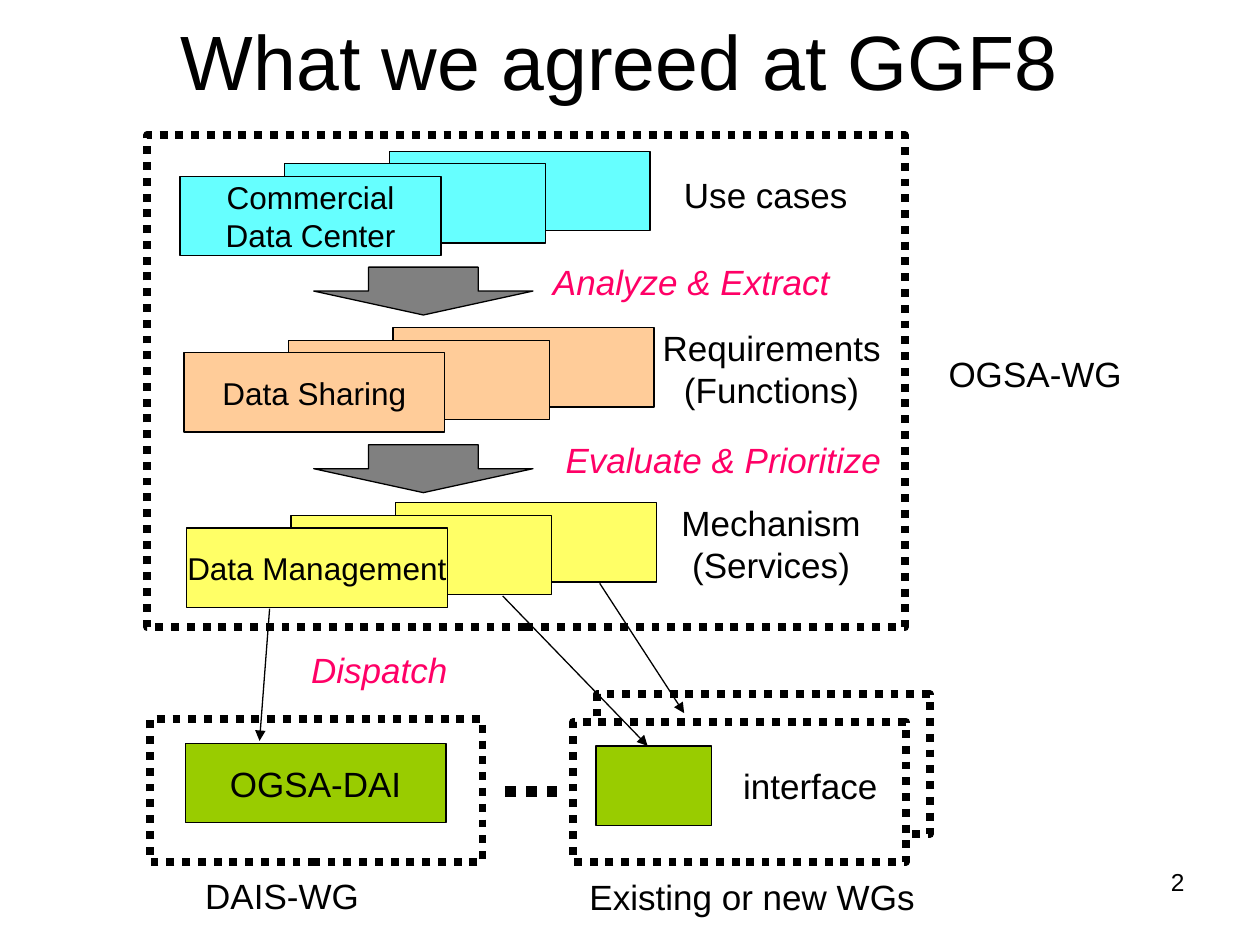
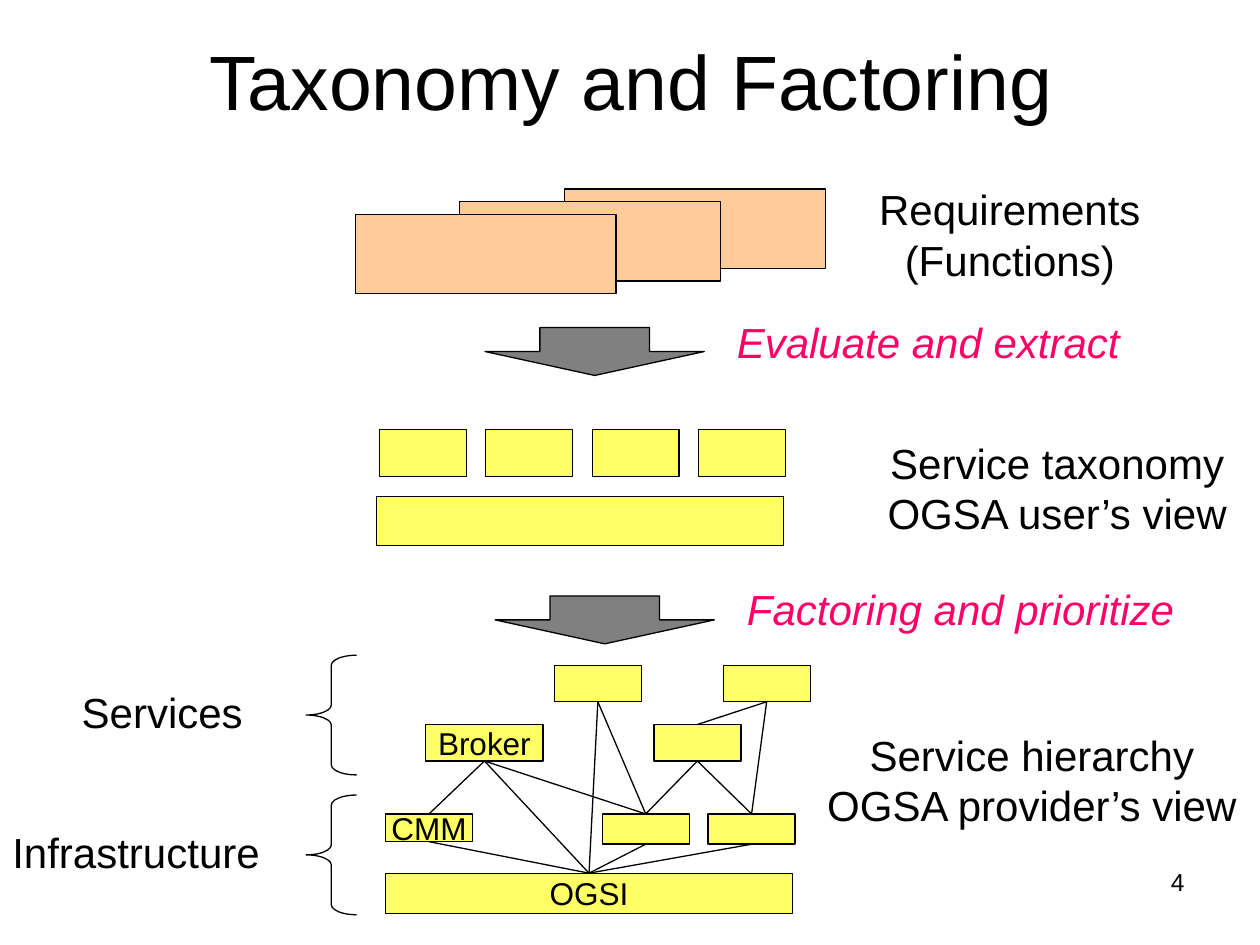
"""Build two slides on OGSA use cases, requirements and service factoring."""
import lxml.etree
import pptx
import pptx.dml.color
import pptx.enum.dml
import pptx.enum.shapes
import pptx.enum.text
import pptx.oxml.ns
import pptx.util

Inches = pptx.util.Inches
Pt = pptx.util.Pt
RGBColor = pptx.dml.color.RGBColor
qn = pptx.oxml.ns.qn
SHAPE = pptx.enum.shapes.MSO_SHAPE
ALIGN = pptx.enum.text.PP_ALIGN
ANCHOR = pptx.enum.text.MSO_ANCHOR
DOTTED = pptx.enum.dml.MSO_LINE.ROUND_DOT

COLORS = {
    "ink": "000000",
    "paper": "FFFFFF",
    "use_case": "66FFFF",
    "requirement": "FFCC99",
    "service": "FFFF66",
    "interface": "99CC00",
    "arrow": "808080",
    "step": "FF0066",
}
FONT = "Arial"
CARD = (2.07, 0.63)
ARROW = (1.74, 0.38)
SMALL = 0.69


def write(frame, text, size=20, color="ink", italic=False, align=ALIGN.LEFT,
          anchor=ANCHOR.TOP, wrap=False):
    frame.word_wrap = wrap
    frame.auto_size = pptx.enum.text.MSO_AUTO_SIZE.NONE
    frame.vertical_anchor = anchor
    for index, words in enumerate(text.split("\n")):
        para = frame.paragraphs[0] if index == 0 else frame.add_paragraph()
        para.alignment = align
        span = para.add_run()
        span.text = words
        span.font.name = FONT
        span.font.size = Pt(size)
        span.font.italic = italic
        span.font.color.rgb = RGBColor.from_string(COLORS[color])


def draw(page, place, fill=None, kind=SHAPE.RECTANGLE, width=0.75, dash=None, text="", size=18):
    box = page.shapes.add_shape(kind, *map(Inches, place))
    box.shadow.inherit = False
    if fill:
        box.fill.solid()
        box.fill.fore_color.rgb = RGBColor.from_string(COLORS[fill])
    else:
        box.fill.background()
    box.line.color.rgb = RGBColor.from_string(COLORS["ink"])
    box.line.width = Pt(width)
    if dash:
        box.line.dash_style = dash
    if text:
        write(box.text_frame, text, size=size, align=ALIGN.CENTER, anchor=ANCHOR.MIDDLE)
    return box


deck = pptx.Presentation()
deck.slide_width, deck.slide_height = Inches(10), Inches(7.5)

pages = []
for title, place, number in [
    ("What we agreed at GGF8", (0.9, 0, 8.04, 0.95), "2"),
    ("Taxonomy and Factoring", (0.51, 0.21, 9, 0.85), "4"),
]:
    page = deck.slides.add_slide(deck.slide_layouts[5])
    heading = page.shapes.title
    heading.left, heading.top, heading.width, heading.height = map(Inches, place)
    write(heading.text_frame, title, size=44, align=ALIGN.CENTER, anchor=ANCHOR.MIDDLE, wrap=True)
    number_box = page.shapes.add_textbox(*map(Inches, (7.17, 6.83, 2.33, 0.52)))
    write(number_box.text_frame, number, size=14, align=ALIGN.RIGHT, wrap=True)
    pages.append(page)
agreed, factoring = pages

for place in [
    (4.74, 5.51, 2.64, 1.11),
    (4.55, 5.73, 2.64, 1.11),
    (1.17, 1.07, 6.01, 3.91),
    (1.19, 5.71, 2.64, 1.13),
]:
    draw(agreed, place, "paper", width=4.5, dash=DOTTED)

for page, left, top, fill, text in [
    (agreed, 1.43, 1.4, "use_case", "Commercial\nData Center"),
    (agreed, 1.46, 2.8, "requirement", "Data Sharing"),
    (agreed, 1.48, 4.19, "service", "Data Management"),
    (factoring, 2.82, 1.7, "requirement", ""),
]:
    for depth in (2, 1, 0):
        place = (left + 0.83 * depth, top - 0.1 * depth, *CARD)
        draw(page, place, fill, text="" if depth else text)

for page, left, top in [
    (agreed, 2.49, 2.12), (agreed, 2.49, 3.53),
    (factoring, 3.85, 2.6), (factoring, 3.93, 4.73),
]:
    draw(page, (left, top, *ARROW), "arrow", SHAPE.DOWN_ARROW)

draw(agreed, (1.47, 5.9, *CARD), "interface", text="OGSA-DAI", size=20)
draw(agreed, (4.73, 5.92, 0.92, 0.63), "interface")

draw(factoring, (2.99, 3.94, 3.23, 0.39), "service")
for column in range(4):
    draw(factoring, (3.01 + 0.845 * column, 3.41, SMALL, 0.37), "service")

nodes = {
    "OGSI": (3.06, 6.93, 3.23, 0.32),
    "CMM": (3.06, 6.46, SMALL, 0.22),
    "Broker": (3.38, 5.75, 0.93, 0.29),
    "base left": (4.78, 6.46, SMALL, 0.24),
    "base right": (5.62, 6.46, SMALL, 0.24),
    "middle": (5.19, 5.75, SMALL, 0.29),
    "top left": (4.4, 5.28, SMALL, 0.29),
    "top right": (5.74, 5.28, SMALL, 0.29),
}
for name, place in nodes.items():
    draw(factoring, place, "service", text=name if name in ("OGSI", "CMM", "Broker") else "")

for top in (5.2, 6.31):
    brace = draw(factoring, (2.43, top, 0.4, 0.95), kind=SHAPE.LEFT_BRACE)
    brace.adjustments[0] = 0.2

links = [
    (agreed, (2.14, 4.83), (2.06, 5.88), 0.75, True),
    (agreed, (3.99, 4.73), (5.14, 5.92), 0.75, True),
    (agreed, (4.76, 4.63), (5.43, 5.66), 0.75, True),
    (agreed, (4.01, 6.28), (4.42, 6.28), 6, False),
]
for upper, lower in [
    ("CMM", "OGSI"), ("Broker", "OGSI"), ("Broker", "CMM"),
    ("base left", "OGSI"), ("base right", "OGSI"),
    ("middle", "base right"), ("middle", "base left"), ("Broker", "base left"),
    ("top left", "base left"), ("top right", "middle"),
    ("top right", "base right"), ("top left", "OGSI"),
]:
    left, top, width, height = nodes[upper]
    start = (left + width / 2, top + height)
    left, top, width, height = nodes[lower]
    links.append((factoring, start, (left + width / 2, top), 0.75, False))

for page, start, end, width, pointed in links:
    link = page.shapes.add_connector(
        pptx.enum.shapes.MSO_CONNECTOR.STRAIGHT, *map(Inches, start + end))
    link.line.color.rgb = RGBColor.from_string(COLORS["ink"])
    link.line.width = Pt(width)
    if width > 1:
        link.line.dash_style = DOTTED
    properties = link.element.spPr
    if pointed:
        lxml.etree.SubElement(properties.find(qn("a:ln")), qn("a:tailEnd"), type="triangle")
    lxml.etree.SubElement(properties, qn("a:effectLst"))

for page, size, labels in [
    (agreed, 20, [
        ("Use cases", "ink", 5.33, 1.33, 1.5),
        ("Analyze & Extract", "step", 4.29, 2.02, 2.39),
        ("Requirements\n(Functions)", "ink", 5.16, 2.54, 1.93),
        ("Evaluate & Prioritize", "step", 4.39, 3.43, 2.7),
        ("Mechanism\n(Services)", "ink", 5.31, 3.93, 1.62),
        ("OGSA-WG", "ink", 7.43, 2.75, 1.57),
        ("Dispatch", "step", 2.37, 5.1, 1.28),
        ("interface", "ink", 5.8, 6.02, 1.27),
        ("DAIS-WG", "ink", 1.53, 6.89, 1.42),
        ("Existing or new WGs", "ink", 4.58, 6.9, 2.78),
    ]),
    (factoring, 24, [
        ("Requirements\n(Functions)", "ink", 6.88, 1.41, 2.27),
        ("Evaluate and extract", "step", 5.75, 2.46, 3.24),
        ("Service taxonomy\nOGSA user’s view", "ink", 6.94, 3.42, 2.9),
        ("Factoring and prioritize", "step", 5.83, 4.58, 3.59),
        ("Service hierarchy\nOGSA provider’s view", "ink", 6.46, 5.74, 3.46),
        ("Services", "ink", 0.55, 5.4, 1.48),
        ("Infrastructure", "ink", 0, 6.51, 2.16),
    ]),
]:
    for text, color, left, top, width in labels:
        two_lines = "\n" in text
        height = 0.1 + size / 60 * (2 if two_lines else 1)
        label = page.shapes.add_textbox(*map(Inches, (left, top, width, height)))
        write(label.text_frame, text, size=size, color=color, italic=color == "step",
              align=ALIGN.CENTER if two_lines else ALIGN.LEFT)

deck.save("out.pptx")
